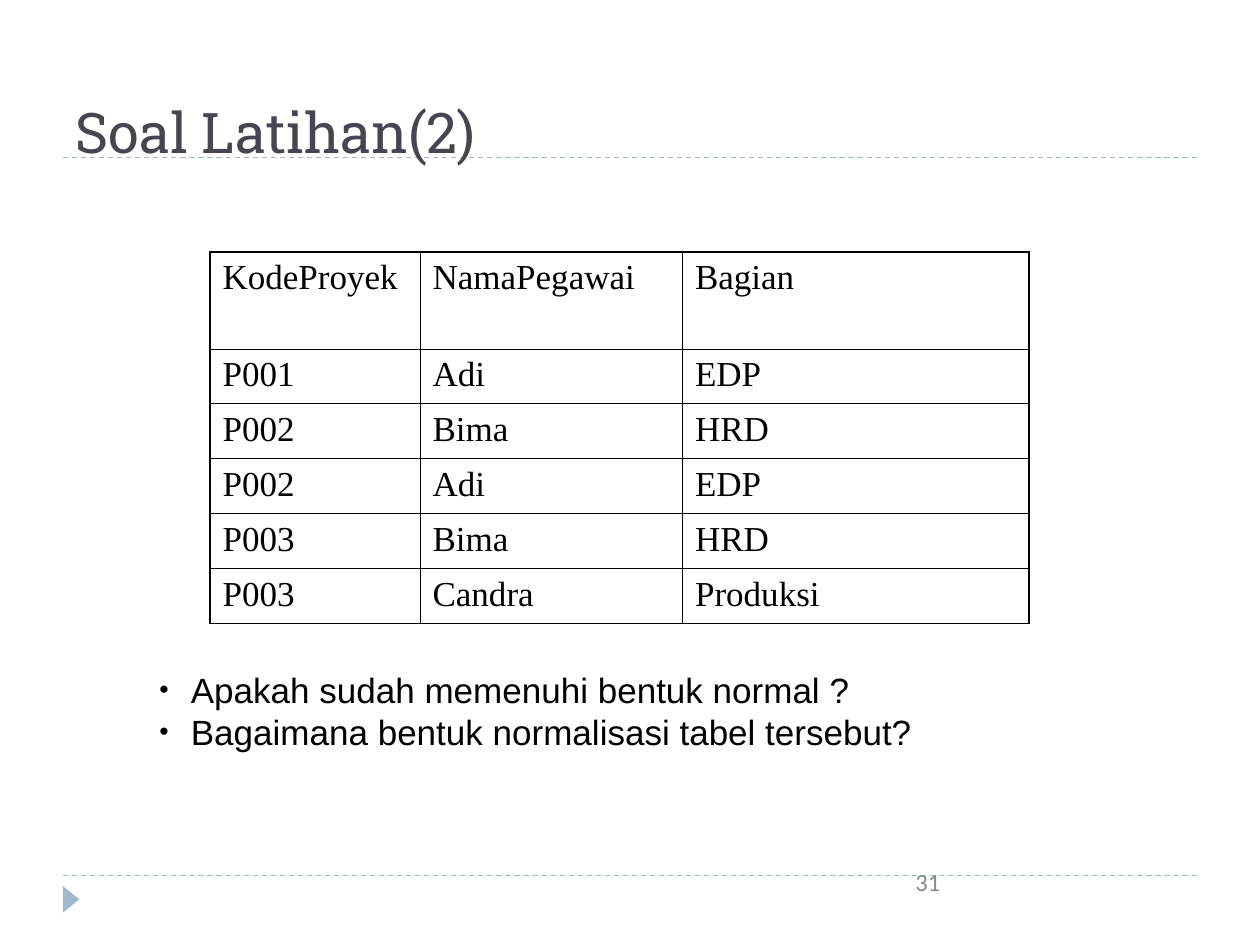
from lxml import etree
from pptx import Presentation
from pptx import util as u
from pptx.dml import color
from pptx.enum import dml, shapes, text
from pptx.oxml import ns

Pt = u.Pt
COLORS = {"title": "464653", "accent": "9FB8CD", "ink": "000000", "number": "898989"}
ROWS = [
    ("KodeProyek", "NamaPegawai", "Bagian"),
    ("P001", "Adi", "EDP"),
    ("P002", "Bima", "HRD"),
    ("P002", "Adi", "EDP"),
    ("P003", "Bima", "HRD"),
    ("P003", "Candra", "Produksi"),
]
QUESTIONS = [
    "Apakah sudah memenuhi bentuk normal ?",
    "Bagaimana bentuk normalisasi tabel tersebut?",
]
COLUMN_WIDTHS = (120, 150, 198)
ROW_HEIGHTS = (55.4,) + (31.4,) * 5
OUTER, INNER = 1.08, 0.45


def rgb(name):
    return color.RGBColor.from_string(COLORS[name])


def add_element(parent, tag, **attributes):
    child = etree.SubElement(parent, ns.qn(tag))
    for key, value in attributes.items():
        child.set(key, str(value))
    return child


def write(para, words, font="Arial", size=20, ink="ink"):
    span = para.add_run()
    span.text = words
    span.font.name = font
    span.font.size = Pt(size)
    span.font.color.rgb = rgb(ink)


def add_text_box(page, box, anchor=text.MSO_ANCHOR.TOP):
    frame = page.shapes.add_textbox(*(Pt(side) for side in box)).text_frame
    frame.word_wrap = True
    frame.vertical_anchor = anchor
    return frame


def add_rule(page, left, top, width):
    rule = page.shapes.add_connector(
        shapes.MSO_CONNECTOR.STRAIGHT, Pt(left), Pt(top), Pt(left + width), Pt(top))
    rule.line.color.rgb = rgb("accent")
    rule.line.width = Pt(0.75)
    rule.line.dash_style = dml.MSO_LINE.DASH
    add_element(rule._element.spPr, "a:effectLst")


def add_title(page, box):
    left, top, width, height = box
    add_rule(page, left, top + 68.4, width)
    frame = add_text_box(page, box, text.MSO_ANCHOR.BOTTOM)
    frame.margin_bottom = 0
    write(frame.paragraphs[0], "Soal Latihan(2)", "Roboto Slab", 32, "title")


def add_footer(page, box):
    left, top, width, height = box
    add_rule(page, left, top + 8.4, width)
    # Turned a quarter so that it points right
    marker = page.shapes.add_shape(
        shapes.MSO_SHAPE.ISOSCELES_TRIANGLE,
        Pt(left - 2.9), Pt(top + 17.2), Pt(15.1), Pt(9.4))
    marker.rotation = 90
    marker.shadow.inherit = False
    marker.fill.solid()
    marker.fill.fore_color.rgb = rgb("accent")
    marker.line.fill.background()
    # Page number
    frame = add_text_box(page, (left + width - 168, top, 168, height))
    write(frame.paragraphs[0], "31", "Calibri", 14, "number")


def set_borders(cell, widths):
    properties = cell._tc.get_or_add_tcPr()
    for position, (side, width) in enumerate(widths.items()):
        line = etree.Element(ns.qn(f"a:ln{side}"), w=str(int(Pt(width))))
        fill = add_element(line, "a:solidFill")
        add_element(fill, "a:srgbClr", val=COLORS["ink"])
        properties.insert(position, line)


def add_project_table(page, left, top):
    table = page.shapes.add_table(
        len(ROWS), len(COLUMN_WIDTHS), Pt(left), Pt(top),
        Pt(sum(COLUMN_WIDTHS)), Pt(sum(ROW_HEIGHTS))).table
    table.first_row = table.horz_banding = False
    for column, width in zip(table.columns, COLUMN_WIDTHS):
        column.width = Pt(width)
    last_row, last_column = len(ROWS) - 1, len(COLUMN_WIDTHS) - 1
    for r, values in enumerate(ROWS):
        table.rows[r].height = Pt(ROW_HEIGHTS[r])
        for c, value in enumerate(values):
            cell = table.cell(r, c)
            cell.fill.background()
            write(cell.text_frame.paragraphs[0], value, "Times New Roman")
            edges = {"L": c == 0, "R": c == last_column, "T": r == 0, "B": r == last_row}
            set_borders(cell, {side: OUTER if outside else INNER
                               for side, outside in edges.items()})


def add_questions(page, box):
    frame = add_text_box(page, box, text.MSO_ANCHOR.MIDDLE)
    for index, question in enumerate(QUESTIONS):
        para = frame.add_paragraph() if index else frame.paragraphs[0]
        properties = para._p.get_or_add_pPr()
        properties.set("marL", str(int(Pt(18))))
        properties.set("indent", str(int(Pt(-18))))
        bullet_color = add_element(properties, "a:buClr")
        add_element(bullet_color, "a:srgbClr", val=COLORS["ink"])
        add_element(properties, "a:buSzPct", val=76000)
        add_element(properties, "a:buFont", typeface="Arial")
        add_element(properties, "a:buChar", char="•")
        write(para, question)


def main():
    deck = Presentation()
    deck.slide_width, deck.slide_height = Pt(720), Pt(540)
    page = deck.slides.add_slide(deck.slide_layouts[6])
    add_title(page, (36, 21.6, 648, 72.7))
    add_project_table(page, 120, 144)
    add_questions(page, (84, 378, 576, 55.6))
    add_footer(page, (36, 492, 648, 37.4))
    deck.save("out.pptx")


if __name__ == "__main__":
    main()
